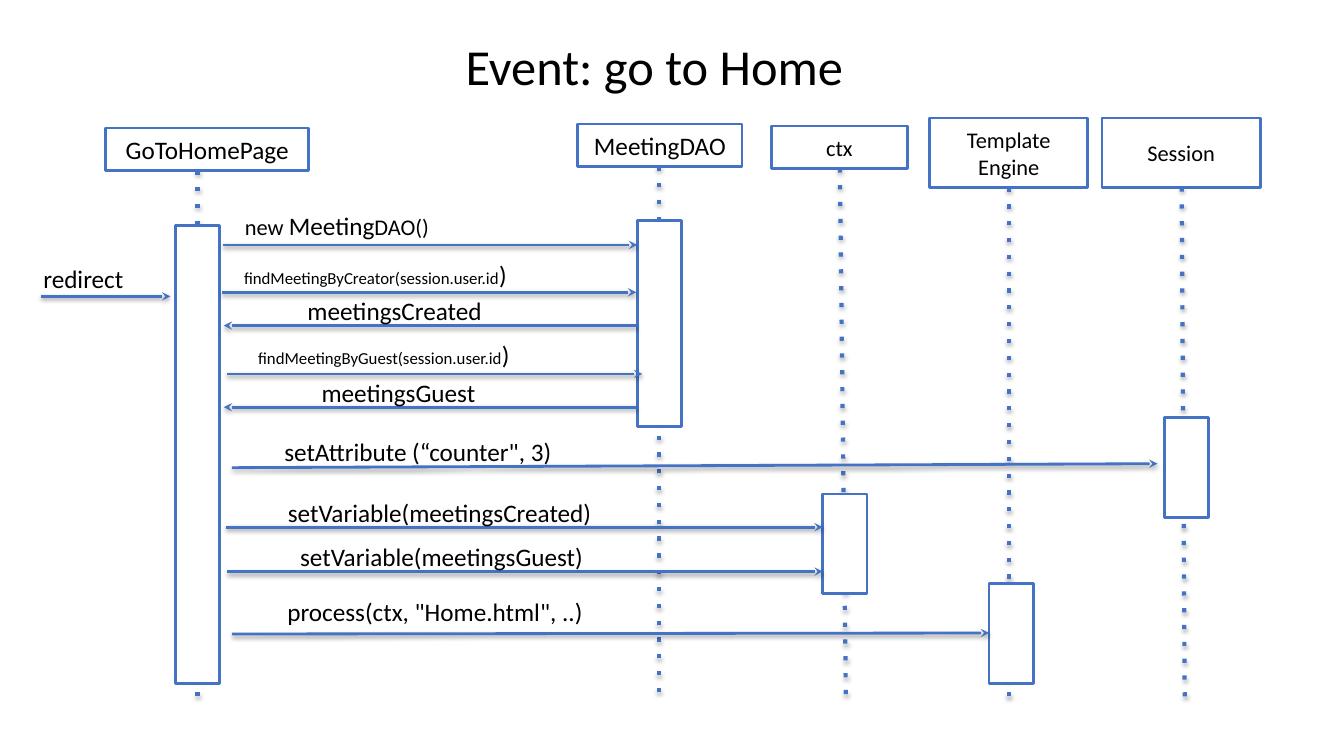
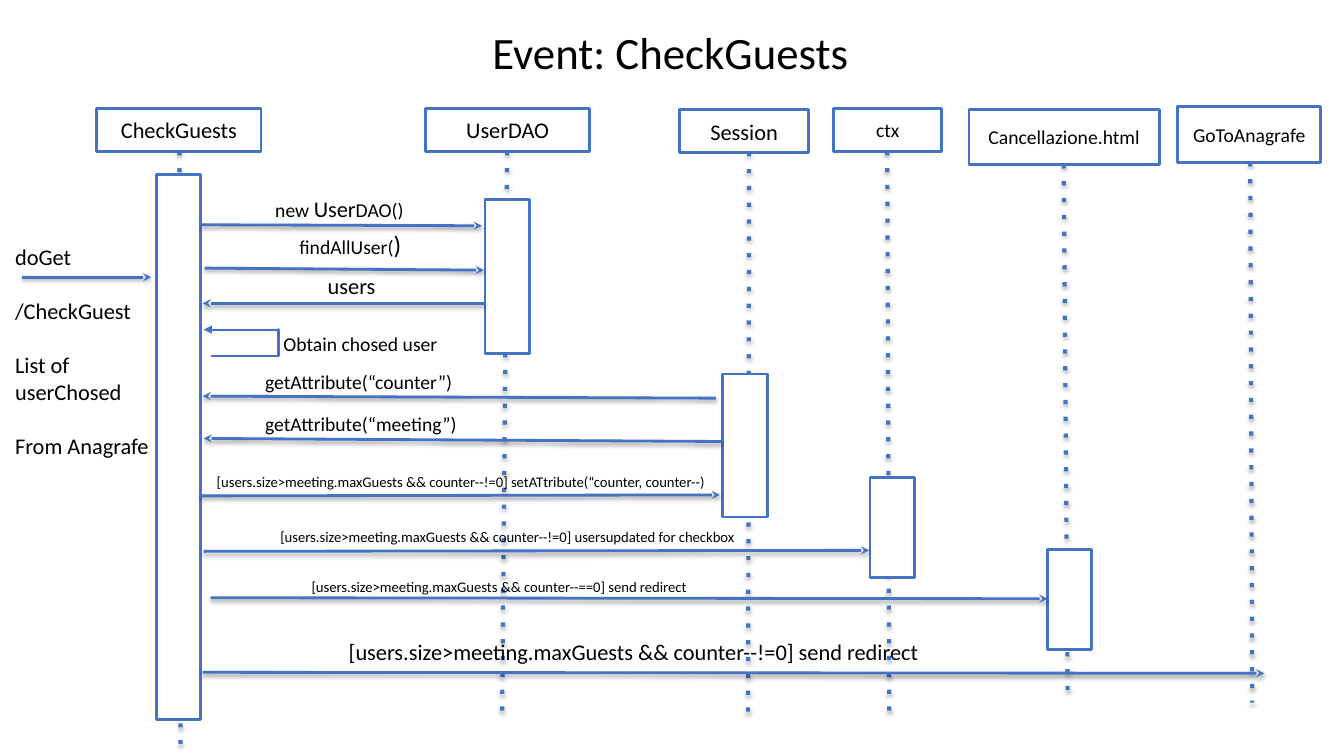
from dataclasses import dataclass

import lxml.etree
import pptx
import pptx.dml.color
import pptx.enum.shapes
import pptx.enum.text
import pptx.oxml
import pptx.oxml.ns
import pptx.util

Inches, Pt = pptx.util.Inches, pptx.util.Pt
ALIGN = pptx.enum.text.PP_ALIGN
CONNECTOR = pptx.enum.shapes.MSO_CONNECTOR

COLORS = {"line": "4472C4", "box": "FFFFFF", "text": "000000", "shadow": "000000"}
FONT = "Calibri"
LABEL_HEIGHT = 0.37
BAR_WIDTH = 0.44


@dataclass
class Participant:
    name: str
    size: float
    head: tuple       # left, top, width, height
    lifeline: tuple   # x at the head, x at the foot, foot y
    bar: tuple = ()   # left, top, height


@dataclass
class Message:
    start: tuple
    end: tuple
    runs: tuple = ()   # (text, size) pairs
    place: tuple = ()  # left, top, width of the label
    align: object = ALIGN.LEFT


def rgb(key):
    return pptx.dml.color.RGBColor.from_string(COLORS[key])


# Shared text and line styles
def style_runs(paragraph, size):
    for run in paragraph.runs:
        run.font.name = FONT
        run.font.size = Pt(size)
        run.font.color.rgb = rgb("text")


def set_frame(frame, anchor):
    frame.word_wrap = True
    frame.vertical_anchor = anchor
    frame.margin_left = frame.margin_right = Inches(0.13)
    frame.margin_top = frame.margin_bottom = Inches(0.07)


def add_text(slide, box, anchor=pptx.enum.text.MSO_ANCHOR.TOP):
    frame = slide.shapes.add_textbox(*map(Inches, box)).text_frame
    set_frame(frame, anchor)
    return frame


def add_box(slide, box):
    rect = slide.shapes.add_shape(
        pptx.enum.shapes.MSO_SHAPE.RECTANGLE, *map(Inches, box))
    rect.shadow.inherit = False
    rect.fill.solid()
    rect.fill.fore_color.rgb = rgb("box")
    rect.line.color.rgb = rgb("line")
    rect.line.width = Pt(2)
    return rect


def add_line(slide, start, end, width=2, dash=None, head=None, shadow=None,
             kind=CONNECTOR.STRAIGHT):
    line = slide.shapes.add_connector(kind, *map(Inches, start + end))
    line.line.color.rgb = rgb("line")
    line.line.width = Pt(width)
    qn = pptx.oxml.ns.qn
    properties = line.element.spPr
    stroke = properties.find(qn("a:ln"))
    if dash:
        lxml.etree.SubElement(stroke, qn("a:prstDash"), val=dash)
    if head:
        lxml.etree.SubElement(stroke, qn("a:tailEnd"), type=head)
    effects = lxml.etree.SubElement(properties, qn("a:effectLst"))
    if shadow:
        distance, opacity = shadow
        outer = lxml.etree.SubElement(
            effects, qn("a:outerShdw"), blurRad=str(Pt(3.1)), dist=str(Pt(distance)),
            dir="5400000", rotWithShape="0")
        color = lxml.etree.SubElement(outer, qn("a:srgbClr"), val=COLORS["shadow"])
        lxml.etree.SubElement(color, qn("a:alpha"), val=str(opacity * 1000))
    return line


# Parts of a sequence diagram
def add_title(slide, text, size, left, top):
    frame = add_text(slide, (left, top, 12, 1.25), pptx.enum.text.MSO_ANCHOR.MIDDLE)
    frame.text = text
    heading = frame.paragraphs[0]
    heading.alignment = ALIGN.CENTER
    heading.line_spacing = 0.9
    style_runs(heading, size)


def add_participant(slide, participant):
    left, top, width, height = participant.head
    head_x, foot_x, foot_y = participant.lifeline
    add_line(slide, (head_x, top + height), (foot_x, foot_y), width=3, dash="dot",
             shadow=(1.8, 35))
    head = add_box(slide, participant.head)
    set_frame(head.text_frame, pptx.enum.text.MSO_ANCHOR.MIDDLE)
    head.text_frame.text = participant.name
    head.text_frame.paragraphs[0].alignment = ALIGN.CENTER
    style_runs(head.text_frame.paragraphs[0], participant.size)
    if participant.bar:
        bar_left, bar_top, bar_height = participant.bar
        add_box(slide, (bar_left, bar_top, BAR_WIDTH, bar_height))


def add_label(slide, runs, place, align):
    paragraph = add_text(slide, place + (LABEL_HEIGHT,)).paragraphs[0]
    paragraph.alignment = align
    for text, size in runs:
        run = paragraph.add_run()
        run.text = text
        run.font.name = FONT
        run.font.size = Pt(size)
        run.font.color.rgb = rgb("text")


def add_message(slide, message):
    add_line(slide, message.start, message.end, head="stealth", shadow=(1.6, 38))
    if message.runs:
        add_label(slide, message.runs, message.place, message.align)


def add_request_notes(slide, notes, box, size):
    frame = add_text(slide, box)
    for index, note in enumerate(notes):
        paragraph = frame.paragraphs[0] if index == 0 else frame.add_paragraph()
        paragraph.text = note
        if index:
            paragraph.space_before = Pt(19.5)
        style_runs(paragraph, size)


def add_self_call(slide, text, box):
    left, top, width, height = box
    loop = add_line(slide, (left, top + height), (left + width, top), width=1.5,
                    kind=CONNECTOR.ELBOW)
    guides = loop.element.spPr.find(".//" + pptx.oxml.ns.qn("a:avLst"))
    lxml.etree.SubElement(guides, pptx.oxml.ns.qn("a:gd"), name="adj1", fmla="val 98800")
    add_line(slide, (left + width, top), (left - 0.07, top), width=1.5, head="triangle")
    add_label(slide, ((text, 14),), (left + 0.53, top - 0.05, 1.91), ALIGN.CENTER)


def add_sequence(deck, title, participants, messages):
    slide = deck.slides.add_slide(deck.slide_layouts[6])
    add_title(slide, *title)
    for participant in participants:
        add_participant(slide, participant)
    for message in messages:
        add_message(slide, message)
    return slide


HOME_PARTICIPANTS = [
    Participant("GoToHomePage", 18, (1.05, 1.27, 2.01, 0.42), (1.96, 1.96, 6.95), (1.74, 2.24, 4.54)),
    Participant("MeetingDAO", 18, (5.73, 1.23, 1.63, 0.42), (6.54, 6.54, 6.95), (6.32, 2.19, 2.04)),
    Participant("ctx", 16, (7.65, 1.25, 1.35, 0.42), (8.33, 8.39, 6.95), (8.16, 4.9, 0.99)),
    Participant("Template Engine", 16, (9.22, 1.17, 1.57, 0.69), (10.01, 10.01, 6.95), (9.81, 5.79, 0.99)),
    Participant("Session", 16, (10.93, 1.17, 1.57, 0.69), (11.72, 11.75, 6.95), (11.55, 4.14, 0.99)),
]
HOME_MESSAGES = [
    Message((0.41, 2.94), (1.69, 2.94), (("redirect", 18),), (0.3, 2.54, 1.34)),
    Message((2.21, 2.43), (6.32, 2.43),
            (("new ", 16), ("Meeting", 18), ("DAO()", 16)), (2.3, 2.02, 3.88)),
    Message((2.2, 2.9), (6.31, 2.9),
            (("findMeetingByCreator(session.user.id", 12), (")", 18)), (2.29, 2.5, 3.88)),
    Message((6.32, 3.23), (2.22, 3.23), (("meetingsCreated", 18),), (2.92, 2.86, 2.16)),
    Message((2.25, 3.71), (6.37, 3.71),
            (("findMeetingByGuest(session.user.id", 12), (")", 18)), (2.43, 3.3, 3.88)),
    Message((6.32, 4.04), (2.22, 4.04), (("meetingsGuest", 18),), (3.06, 3.67, 2.16)),
    Message((2.3, 4.64), (11.48, 4.6), (('setAttribute (“counter", 3)', 18),), (2.69, 4.26, 6.67)),
    Message((2.24, 5.23), (8.16, 5.23),
            (("setVariable(meetingsCreated)", 18),), (2.62, 4.86, 3.48), ALIGN.CENTER),
    Message((2.25, 5.67), (8.16, 5.67),
            (("setVariable(meetingsGuest)", 18),), (2.64, 5.3, 3.48), ALIGN.CENTER),
    Message((2.3, 6.29), (9.81, 6.28),
            (('process(ctx, "Home.html", ..)', 18),), (2.43, 5.85, 3.77), ALIGN.CENTER),
]

GUEST_PARTICIPANTS = [
    Participant("CheckGuests", 16, (0.96, 1.08, 1.63, 0.42), (1.78, 1.79, 7.38), (1.55, 1.73, 5.41)),
    Participant("UserDAO", 16, (4.22, 1.08, 1.63, 0.42), (5.03, 4.98, 7.14), (4.81, 1.98, 1.53)),
    Participant("Session", 16, (6.74, 1.09, 1.28, 0.42), (7.43, 7.42, 7.14), (7.17, 3.71, 1.42)),
    Participant("ctx", 14, (8.27, 1.08, 1.07, 0.42), (8.8, 8.82, 7.14), (8.63, 4.74, 0.99)),
    Participant("Cancellazione.html", 14, (9.61, 1.09, 1.89, 0.54), (10.55, 10.59, 6.97), (10.39, 5.45, 0.99)),
    Participant("GoToAnagrafe", 14, (11.68, 1.06, 1.42, 0.55), (12.4, 12.42, 6.97)),
]
GUEST_MESSAGES = [
    Message((0.22, 2.75), (1.5, 2.75)),
    Message((2, 2.23), (4.78, 2.24),
            (("new ", 14), ("User", 16), ("DAO()", 14)), (2.6, 1.87, 2.35)),
    Message((2.03, 2.66), (4.8, 2.68),
            (("findAllUser(", 14), (")", 18)), (1.59, 2.21, 3.77), ALIGN.CENTER),
    Message((4.81, 3.01), (2.01, 3.01), (("users", 16),), (3.12, 2.63, 0.88)),
    Message((7.1, 3.95), (2.01, 3.93), (("getAttribute(“counter”)", 14),), (2.5, 3.6, 2.53)),
    Message((7.15, 4.38), (2.02, 4.35), (("getAttribute(“meeting”)", 14),), (2.5, 4.02, 2.36)),
    Message((1.99, 4.92), (7.14, 4.91),
            (("[users.size>meeting.maxGuests && counter--!=0] setATtribute(“counter, counter--)", 10.5),),
            (2.02, 4.62, 5.47)),
    Message((2.02, 5.47), (8.62, 5.46),
            (("[users.size>meeting.maxGuests && counter--!=0] usersupdated for checkbox", 10.5),),
            (2.65, 5.17, 5.41)),
    Message((2.09, 5.93), (10.39, 5.94),
            (("[users.size>meeting.maxGuests && counter--==0] send redirect", 10.5),),
            (2.96, 5.66, 5.41)),
    Message((2.01, 6.67), (12.54, 6.68),
            (("[users.size>meeting.maxGuests && counter--!=0] send redirect", 16),),
            (2.45, 6.26, 7.67), ALIGN.CENTER),
]


def main():
    deck = pptx.Presentation()
    deck.slide_width, deck.slide_height = Inches(13.33), Inches(7.5)

    # Go to Home
    add_sequence(deck, ("Event: go to Home", 36, 0.49, 0.06), HOME_PARTICIPANTS, HOME_MESSAGES)

    # Check guests
    guests = add_sequence(deck, ("Event: CheckGuests", 32, 0.65, -0.08),
                          GUEST_PARTICIPANTS, GUEST_MESSAGES)
    add_request_notes(guests, ("doGet", "/CheckGuest", "List of userChosed", "From Anagrafe"),
                      (0.02, 2.34, 1.66, 3), 16)
    add_self_call(guests, "Obtain chosed user", (2.09, 3.27, 0.68, 0.26))

    deck.save("out.pptx")


if __name__ == "__main__":
    main()
